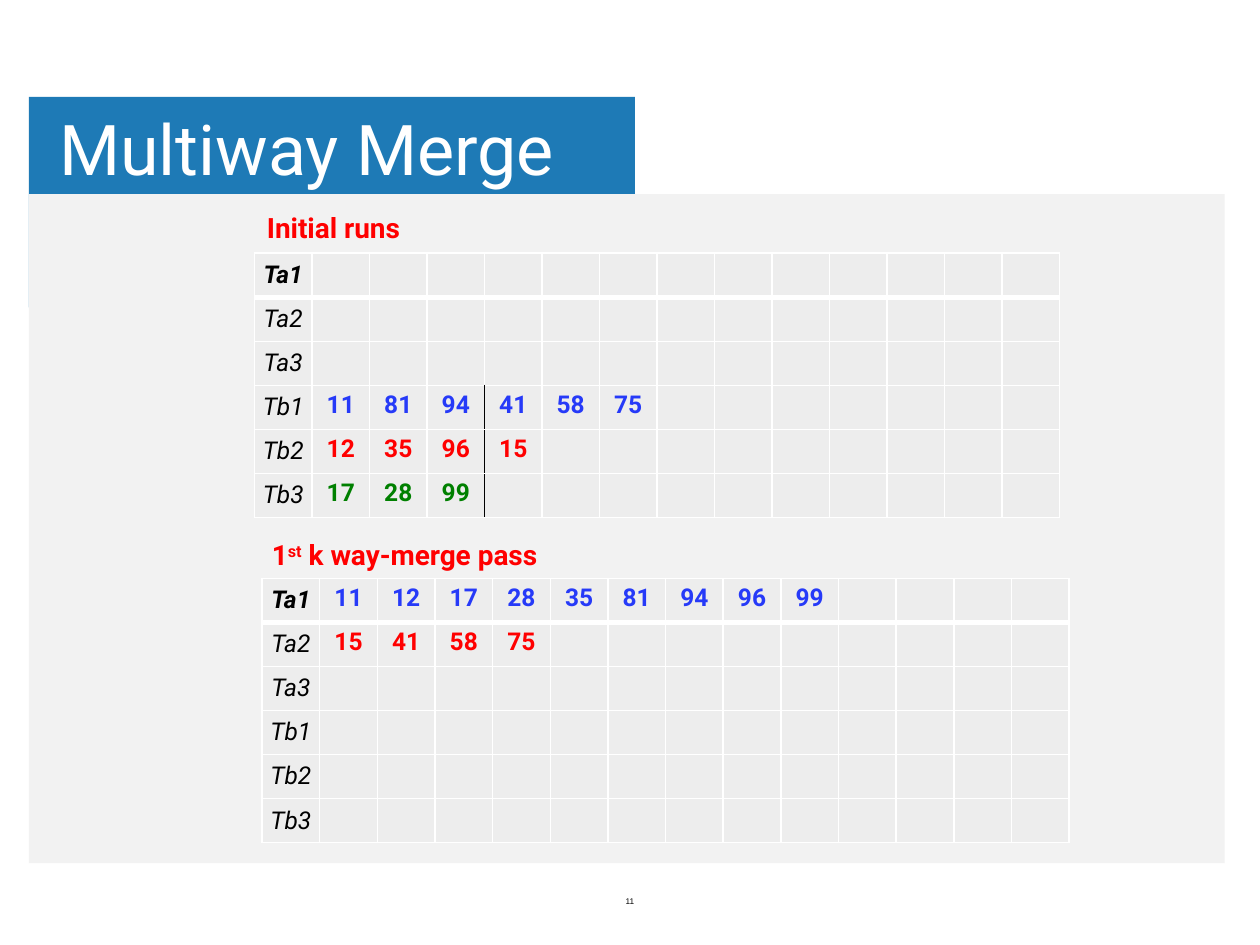
"""Build the Multiway Merge slide with its two tape tables."""
from dataclasses import dataclass

from lxml import etree
from pptx import Presentation
from pptx.dml.color import RGBColor
from pptx.enum import shapes, text
from pptx.oxml import ns
from pptx.util import Inches, Pt


@dataclass(frozen=True)
class Theme:
    font: str = "Roboto"
    number_font: str = "Arial"
    banner: str = "1E7AB6"
    panel: str = "F2F2F2"
    cell: str = "EDEDED"
    white: str = "FFFFFF"
    black: str = "000000"
    blue: str = "263AF8"
    red: str = "FF0000"
    green: str = "008000"
    title_size: float = 40
    heading_size: float = 16
    cell_size: float = 14
    number_size: float = 4.7


THEME = Theme()
TAPES = ["Ta1", "Ta2", "Ta3", "Tb1", "Tb2", "Tb3"]
COLS = 14
ROW_HEIGHT = 0.35
INITIAL_RUNS = {
    "Tb1": (THEME.blue, [11, 81, 94, 41, 58, 75]),
    "Tb2": (THEME.red, [12, 35, 96, 15]),
    "Tb3": (THEME.green, [17, 28, 99]),
}
FIRST_PASS = {
    "Ta1": (THEME.blue, [11, 12, 17, 28, 35, 81, 94, 96, 99]),
    "Ta2": (THEME.red, [15, 41, 58, 75]),
}


def style(p, size, color, font=THEME.font, bold=False, italic=False):
    p.font.name = font
    p.font.size = Pt(size)
    p.font.color.rgb = RGBColor.from_string(color)
    p.font.bold = bold
    p.font.italic = italic


def add_block(s, box, color):
    sp = s.shapes.add_shape(shapes.MSO_SHAPE.RECTANGLE, *map(Inches, box))
    sp.shadow.inherit = False
    sp.fill.solid()
    sp.fill.fore_color.rgb = RGBColor.from_string(color)
    sp.line.fill.background()


def add_text(s, box, runs, size, color, wrap=False, middle=False, **font):
    tf = s.shapes.add_textbox(*map(Inches, box)).text_frame
    tf.word_wrap = wrap
    if middle:
        tf.vertical_anchor = text.MSO_ANCHOR.MIDDLE
    p = tf.paragraphs[0]
    for words, raised in runs:
        r = p.add_run()
        r.text = words
        if raised:
            r._r.get_or_add_rPr().set("baseline", "30000")
    style(p, size, color, **font)
    return tf


def set_border(cell, side, color, width):
    ln = etree.SubElement(cell._tc.get_or_add_tcPr(), ns.qn(f"a:ln{side}"), w=str(Pt(width)))
    fill = etree.SubElement(ln, ns.qn("a:solidFill"))
    etree.SubElement(fill, ns.qn("a:srgbClr"), val=color)


def set_margins(box, x, y):
    box.margin_left = box.margin_right = Inches(x)
    box.margin_top = box.margin_bottom = Inches(y)


def format_cell(cell, row, col, divided):
    edges = {
        "L": (THEME.black if divided and col == 4 else THEME.white, 1),
        "R": (THEME.black if divided and col == 3 else THEME.white, 1),
        "T": (THEME.white, 3 if row == 1 else 1),
        "B": (THEME.white, 3 if row == 0 else 1),
    }
    for side, (color, width) in edges.items():
        set_border(cell, side, color, width)
    cell.fill.solid()
    cell.fill.fore_color.rgb = RGBColor.from_string(THEME.cell)
    set_margins(cell, 0, 0)


def add_tapes(s, left, top, width, contents, divided=()):
    frame = s.shapes.add_table(len(TAPES), COLS, Inches(left), Inches(top),
                               Inches(width), Inches(ROW_HEIGHT * len(TAPES)))
    table = frame.table
    table.first_row = table.horz_banding = False
    for row, tape in enumerate(TAPES):
        color, values = contents.get(tape, (THEME.black, []))
        for col in range(COLS):
            cell = table.cell(row, col)
            format_cell(cell, row, col, tape in divided)
            p = cell.text_frame.paragraphs[0]
            p.alignment = text.PP_ALIGN.CENTER
            if col == 0:
                p.text = tape
                cell.vertical_anchor = text.MSO_ANCHOR.MIDDLE
                style(p, THEME.cell_size, THEME.black, bold=row == 0, italic=True)
            elif col <= len(values):
                p.text = str(values[col - 1])
                set_margins(cell, 0.07, 0.04)
                style(p, THEME.cell_size, color, bold=True)


def main():
    prs = Presentation()
    prs.slide_width, prs.slide_height = Inches(10), Inches(7.5)
    s = prs.slides.add_slide(prs.slide_layouts[6])
    add_block(s, (0.23, 0.77, 4.81, 1.67), THEME.banner)
    add_block(s, (0.23, 1.54, 9.49, 5.31), THEME.panel)
    title = add_text(s, (0.4, 0.82, 7.51, 0.79), [("Multiway Merge", False)],
                     THEME.title_size, THEME.white, wrap=True, middle=True)
    set_margins(title, 0.07, 0.04)
    title.paragraphs[0].line_spacing = 0.9
    number = add_text(s, (3.31, 6.95, 3.38, 0.4), [("11", False)], THEME.number_size,
                      THEME.black, wrap=True, middle=True, font=THEME.number_font)
    number.paragraphs[0].alignment = text.PP_ALIGN.CENTER
    add_tapes(s, 2.02, 2.01, 6.39, INITIAL_RUNS, divided=INITIAL_RUNS)
    add_text(s, (2.02, 1.62, 1.37, 0.38), [("Initial runs", False)],
             THEME.heading_size, THEME.red, bold=True)
    add_tapes(s, 2.08, 4.59, 6.41, FIRST_PASS)
    add_text(s, (2.06, 4.22, 2.38, 0.37),
             [("1", False), ("st", True), (" k way-merge pass", False)],
             THEME.heading_size, THEME.red, bold=True)
    prs.save("out.pptx")


if __name__ == "__main__":
    main()
